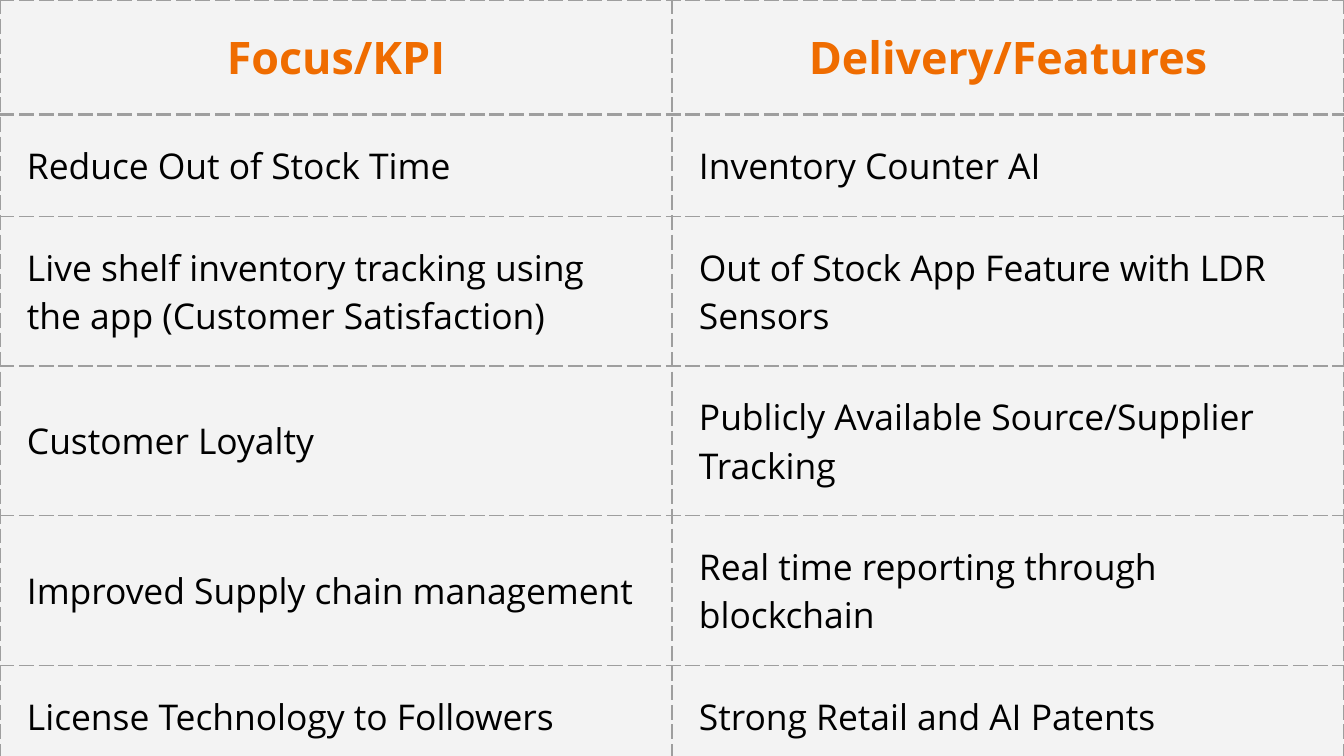
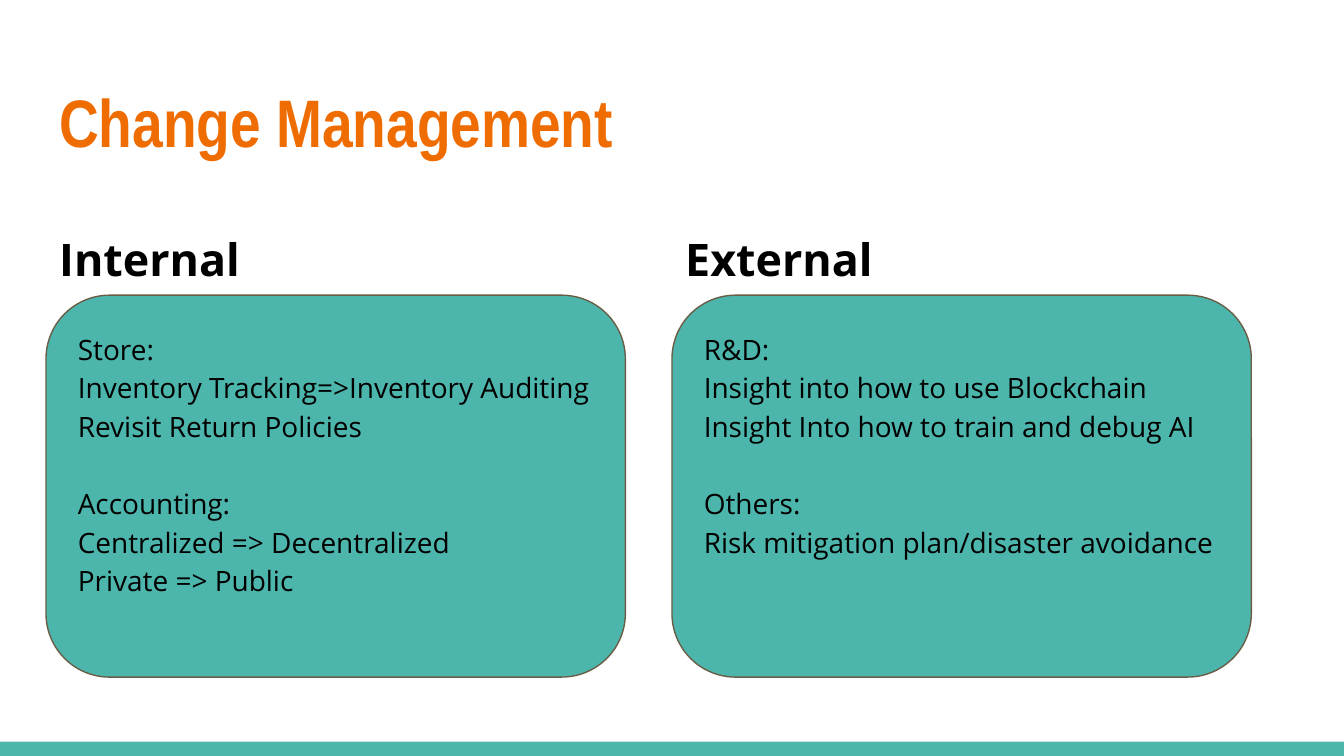
from dataclasses import dataclass

from lxml import etree
from pptx import Presentation
from pptx.dml.color import RGBColor
from pptx.enum.shapes import MSO_SHAPE
from pptx.enum.text import MSO_ANCHOR, PP_ALIGN
from pptx.oxml.ns import qn
from pptx.util import Cm, Pt

ORANGE = RGBColor(0xEF, 0x6C, 0x00)
TEAL = RGBColor(0x4D, 0xB6, 0xAC)
BROWN = RGBColor(0x69, 0x5D, 0x46)
GREY = RGBColor(0x9E, 0x9E, 0x9E)
PALE = RGBColor(0xF3, 0xF3, 0xF3)
BLACK = RGBColor(0x00, 0x00, 0x00)

RECTANGLE = MSO_SHAPE.RECTANGLE
ROUNDED = MSO_SHAPE.ROUNDED_RECTANGLE
TOP = MSO_ANCHOR.TOP
MIDDLE = MSO_ANCHOR.MIDDLE
LEFT = PP_ALIGN.LEFT
CENTER = PP_ALIGN.CENTER

SLIDE_WIDTH = Cm(25.4)
SLIDE_HEIGHT = Cm(14.29)
BAND_HEIGHT = Cm(0.27)
LEFT_EDGE = Cm(0.87)
LINE_PITCH = Pt(20.7)
THIN = Pt(0.75)
THICK = Pt(1.5)

CELL_MARGINS = {
    "margin_left": Cm(0.51),
    "margin_top": Cm(0.51),
    "margin_right": Cm(0.51),
    "margin_bottom": Cm(0.5),
}
BOX_FORMAT = {
    "word_wrap": True,
    "vertical_anchor": TOP,
    "margin_left": Cm(0.25),
    "margin_top": Cm(0.25),
    "margin_right": Cm(0.25),
    "margin_bottom": Cm(0.25),
}

TITLE = {"name": "Arial Narrow", "size": Pt(36), "bold": True}
HEADING = {"name": "Open Sans", "size": Pt(24), "bold": True}
CELL = {"name": "Open Sans", "size": Pt(19), "bold": False}
BODY = {"name": "Open Sans", "size": Pt(15), "bold": False}

ROW_HEIGHTS = [Cm(2.13), Cm(1.9), Cm(2.79), Cm(2.77), Cm(2.77), Cm(1.9)]
ROWS = [
    ("Focus/KPI", "Delivery/Features"),
    ("Reduce Out of Stock Time", "Inventory Counter AI"),
    ("Live shelf inventory tracking using the app (Customer Satisfaction)",
     "Out of Stock App Feature with LDR Sensors"),
    ("Customer Loyalty", "Publicly Available Source/Supplier Tracking"),
    ("Improved Supply chain management", "Real time reporting through blockchain"),
    ("License Technology to Followers", "Strong Retail and AI Patents"),
]


@dataclass(frozen=True)
class Panel:
    left: Cm
    heading: str
    groups: list[list[str]]


PANELS = [
    Panel(LEFT_EDGE, "Internal", [
        ["Store:", "Inventory Tracking=>Inventory Auditing", "Revisit Return Policies"],
        ["Accounting:", "Centralized => Decentralized", "Private => Public"],
    ]),
    Panel(Cm(12.7), "External", [
        ["R&D:", "Insight into how to use Blockchain", "Insight Into how to train and debug AI"],
        ["Others:", "Risk mitigation plan/disaster avoidance"],
    ]),
]


def set_format(target, values: dict) -> None:
    for name, value in values.items():
        setattr(target, name, value)


def write(paragraph, text: str, style: dict, color: RGBColor, alignment=LEFT) -> None:
    paragraph.alignment = alignment
    run = paragraph.add_run()
    run.text = text
    set_format(run.font, style)
    run.font.color.rgb = color


def add_text(slide, left, top, width, height, text: str, style: dict, color: RGBColor) -> None:
    frame = slide.shapes.add_textbox(left, top, width, height).text_frame
    set_format(frame, BOX_FORMAT)
    write(frame.paragraphs[0], text, style, color)


def add_filled(slide, kind, left, top, width, height):
    shape = slide.shapes.add_shape(kind, left, top, width, height)
    shape.shadow.inherit = False
    shape.fill.solid()
    shape.fill.fore_color.rgb = TEAL
    return shape


def add_banded_slide(presentation):
    slide = presentation.slides.add_slide(presentation.slide_layouts[6])
    band = add_filled(slide, RECTANGLE, 0, SLIDE_HEIGHT - BAND_HEIGHT, SLIDE_WIDTH, BAND_HEIGHT)
    band.line.fill.background()
    return slide


def set_borders(cell, widths: dict[str, int]) -> None:
    properties = cell._tc.get_or_add_tcPr()
    for index, (side, width) in enumerate(widths.items()):
        border = etree.Element(qn(f"a:ln{side}"), w=str(int(width)))
        fill = etree.SubElement(border, qn("a:solidFill"))
        etree.SubElement(fill, qn("a:srgbClr"), val=str(GREY))
        etree.SubElement(border, qn("a:prstDash"), val="dash")
        properties.insert(index, border)


def add_kpi_table(slide) -> None:
    frame = slide.shapes.add_table(len(ROWS), 2, 0, 0, SLIDE_WIDTH, sum(ROW_HEIGHTS))
    table = frame.table
    for row_index, (texts, height) in enumerate(zip(ROWS, ROW_HEIGHTS)):
        table.rows[row_index].height = height
        header = row_index == 0
        for column_index, text in enumerate(texts):
            cell = table.cell(row_index, column_index)
            cell.fill.solid()
            cell.fill.fore_color.rgb = PALE
            cell.vertical_anchor = MIDDLE
            set_format(cell, CELL_MARGINS)
            set_borders(cell, {
                "L": THICK if column_index == 1 else THIN,
                "R": THICK if column_index == 0 else THIN,
                "T": THICK if row_index == 1 else THIN,
                "B": THICK if header else THIN,
            })
            write(cell.text_frame.paragraphs[0], text,
                  HEADING if header else CELL,
                  ORANGE if header else BLACK,
                  CENTER if header else LEFT)


def add_panel(slide, panel: Panel) -> None:
    add_text(slide, panel.left, Cm(4.13), Cm(4.6), Cm(1.47), panel.heading, HEADING, BLACK)
    box = add_filled(slide, ROUNDED, panel.left, Cm(5.58), Cm(10.95), Cm(7.22))
    box.adjustments[0] = 1 / 6
    box.line.color.rgb = BROWN
    box.line.width = THIN
    frame = box.text_frame
    set_format(frame, BOX_FORMAT)
    for group_index, group in enumerate(panel.groups):
        for line_index, text in enumerate(group):
            first = group_index == 0 and line_index == 0
            paragraph = frame.paragraphs[0] if first else frame.add_paragraph()
            paragraph.line_spacing = LINE_PITCH
            if group_index > 0 and line_index == 0:
                paragraph.space_before = LINE_PITCH
            write(paragraph, text, BODY, BLACK)


def main() -> None:
    presentation = Presentation()
    presentation.slide_width = SLIDE_WIDTH
    presentation.slide_height = SLIDE_HEIGHT

    add_kpi_table(add_banded_slide(presentation))

    change_slide = add_banded_slide(presentation)
    add_text(change_slide, LEFT_EDGE, Cm(1.26), Cm(23.67), Cm(1.96),
             "Change Management", TITLE, ORANGE)
    for panel in PANELS:
        add_panel(change_slide, panel)

    presentation.save("out.pptx")


if __name__ == "__main__":
    main()
